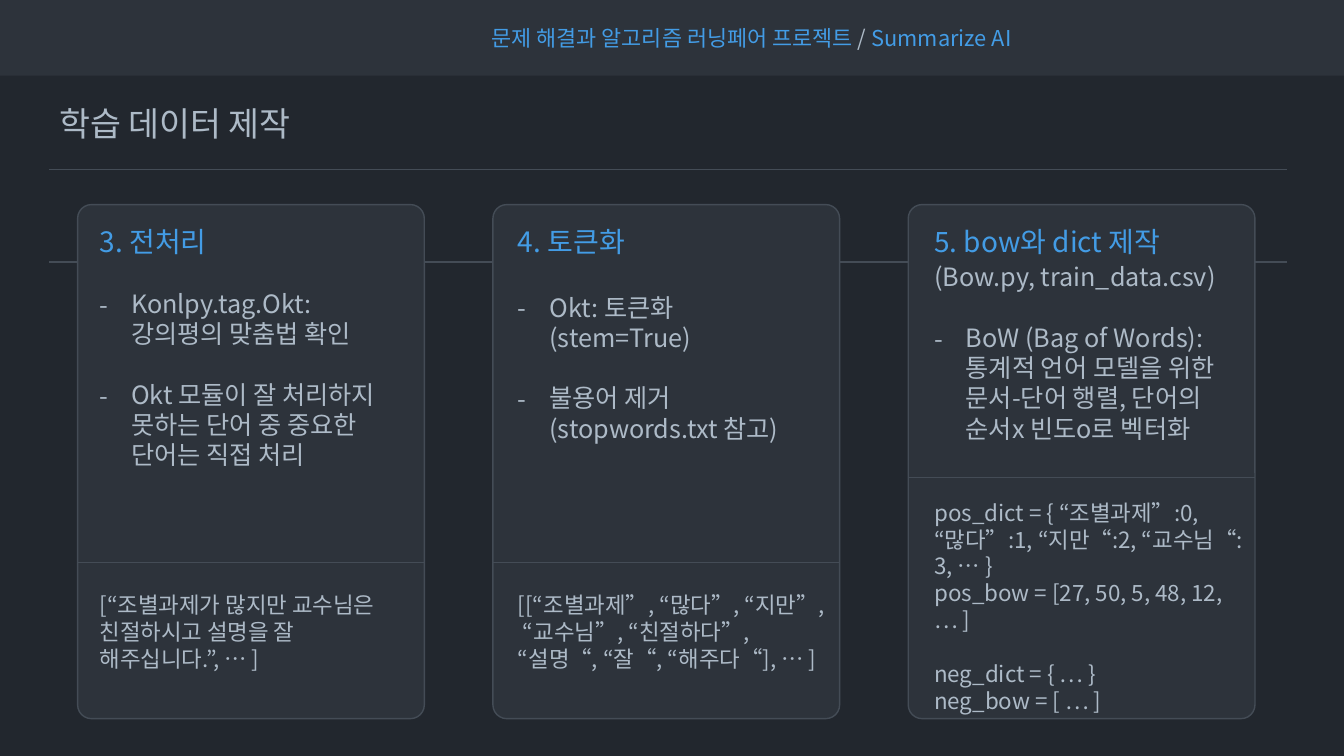
import pptx
import pptx.util
import pptx.dml.color
import pptx.enum.shapes
import pptx.enum.text
import pptx.oxml.ns
import lxml.etree

RGB = pptx.dml.color.RGBColor
DARK = RGB(0x22, 0x27, 0x2E)
PANEL = RGB(0x2D, 0x33, 0x3B)
EDGE = RGB(0x44, 0x4C, 0x56)
GREY = RGB(0xAD, 0xBA, 0xC7)
BLUE = RGB(0x43, 0x9C, 0xE5)
FONT = "Noto Sans CJK KR"
KIND = pptx.enum.shapes.MSO_SHAPE
MID = pptx.enum.text.MSO_ANCHOR.MIDDLE
TOP = pptx.enum.text.MSO_ANCHOR.TOP
qn = pptx.oxml.ns.qn
Pt = pptx.util.Pt

deck = pptx.Presentation()
deck.slide_width = pptx.util.Inches(13.33)
deck.slide_height = pptx.util.Inches(7.5)
col = deck.slide_width / 160
row = deck.slide_height / 90
slide = deck.slides.add_slide(deck.slide_layouts[6])
slide.background.fill.solid()
slide.background.fill.fore_color.rgb = DARK


def rule(left, right, y):
    line = slide.shapes.add_connector(
        pptx.enum.shapes.MSO_CONNECTOR.STRAIGHT,
        int(left * col), int(y * row), int(right * col), int(y * row))
    line.line.color.rgb = EDGE
    line.line.width = Pt(1)
    lxml.etree.SubElement(line._element.spPr, qn("a:effectLst"))


def write(x, y, w, h, paras, anchor=TOP):
    box = slide.shapes.add_textbox(int(x * col), int(y * row), int(w * col), int(h * row))
    frame = box.text_frame
    frame.word_wrap = True
    frame.vertical_anchor = anchor
    for n, (runs, gap, mark) in enumerate(paras):
        para = frame.paragraphs[0] if n == 0 else frame.add_paragraph()
        if mark:
            props = para._p.get_or_add_pPr()
            props.set("marL", "285750")
            props.set("indent", "-285750")
            lxml.etree.SubElement(props, qn("a:buFont")).set("typeface", FONT)
            lxml.etree.SubElement(props, qn("a:buChar")).set("char", "-")
        para.line_spacing = Pt(1.2 * max(size for text, size, tint in runs))
        if gap:
            para.space_before = Pt(1.2 * gap)
        for text, size, tint in runs:
            for k, part in enumerate(text.split("\v")):
                if k:
                    para.add_line_break()
                run = para.add_run()
                run.text = part
                run.font.size = Pt(size)
                run.font.name = FONT
                run.font.color.rgb = tint
                face = lxml.etree.SubElement(run._r.get_or_add_rPr(), qn("a:ea"))
                face.set("typeface", FONT)


band = slide.shapes.add_shape(KIND.RECTANGLE, 0, 0, deck.slide_width, int(9 * row))
band.shadow.inherit = False
band.fill.solid()
band.fill.fore_color.rgb = PANEL
band.line.fill.background()

write(57.36, 0.6, 100, 7.8, [([
    ("문제 해결과 알고리즘 러닝페어 프로젝트 ", 15.6, BLUE),
    ("/", 15.6, GREY),
    (" Summarize AI", 15.6, BLUE)], 0, False)], MID)
write(5.88, 11.64, 135.24, 6, [([("학습 데이터 제작", 24, GREY)], 0, False)])
for y in (20.16, 31.2):
    rule(5.88, 153.24, y)

cards = [
    (1.44, 66.96, 2.88, [("3. 전처리", 20, BLUE)], 18,
     ["Konlpy.tag.Okt:\v강의평의 맞춤법 확인",
      "Okt 모듈이 잘 처리하지 못하는 단어 중 중요한 단어는 직접 처리"],
     [("[“조별과제가 많지만 교수님은 친절하시고 설명을 잘 해주십니다.”, … ]", 0)]),
    (1.8, 66.96, 2.88, [("4. 토큰화", 20, BLUE)], 20,
     ["Okt: 토큰화\v(stem=True)",
      "불용어 제거\v(stopwords.txt 참고)"],
     [("[[“조별과제”, “많다”, “지만”, “교수님”, “친절하다”, “설명“, “잘“, “해주다“], … ]", 0)]),
    (1.92, 56.88, 1.92,
     [("5. bow와 dict 제작\v", 20, BLUE), ("(Bow.py, train_data.csv)", 18, GREY)], 18,
     ["BoW (Bag of Words): 통계적 언어 모델을 위한 문서-단어 행렬, 단어의 순서x 빈도o로 벡터화"],
     [("pos_dict = { “조별과제”:0, “많다”:1, “지만“:2, “교수님“:3, … }", 0),
      ("pos_bow = [27, 50, 5, 48, 12, … ]", 0),
      ("neg_dict = { … }", 16),
      ("neg_bow = [ … ]", 0)]),
]
wide, step, top, tall = 41.28, 49.44, 24.36, 61.2
for i, (pad, split, drop, head, gap, items, code) in enumerate(cards):
    left = 9.24 + i * step
    card = slide.shapes.add_shape(
        KIND.ROUNDED_RECTANGLE, int(left * col), int(top * row), int(wide * col), int(tall * row))
    card.adjustments[0] = 0.04
    card.shadow.inherit = False
    card.fill.solid()
    card.fill.fore_color.rgb = PANEL
    card.line.color.rgb = EDGE
    card.line.width = Pt(1)
    rule(left, left + wide, split)
    body = [(head, 0, False)]
    for n, item in enumerate(items):
        body.append(([(item, 18, GREY)], 18 if n else gap, True))
    write(left + pad, top + 1.8, 38, split - top - 3, body)
    write(left + pad, split + drop, 38.4, top + tall - split - drop - 1,
          [([(text, 16, GREY)], space, False) for text, space in code])

deck.save("out.pptx")
